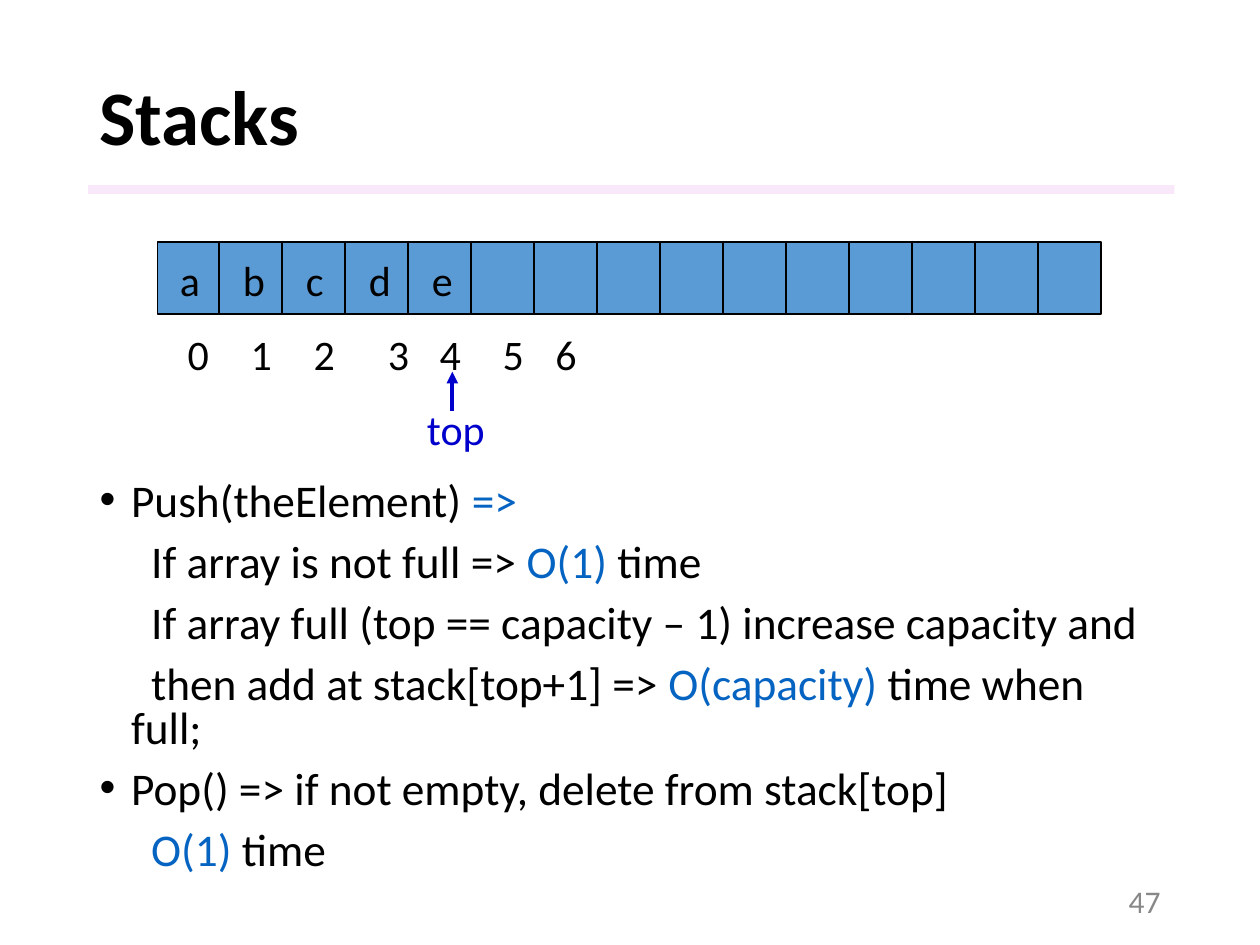
from pptx import Presentation
from pptx.dml.color import RGBColor
from pptx.enum.shapes import MSO_CONNECTOR, MSO_SHAPE
from pptx.enum.text import MSO_ANCHOR, MSO_AUTO_SIZE, PP_ALIGN
from pptx.oxml.ns import qn
from pptx.util import Inches, Pt
from lxml.etree import SubElement

BLACK, BLUE, NAVY = "000000", "0563C1", "0000CC"


def add_text(p, text, size=24, color=BLACK, bold=False):
    r = p.add_run()
    r.text = text
    r.font.name = "Calibri"
    r.font.size = Pt(size)
    r.font.bold = bold
    r.font.color.rgb = RGBColor.from_string(color)


def add_line(x1, y1, x2, y2, color=BLACK, width=1):
    line = s.shapes.add_connector(MSO_CONNECTOR.STRAIGHT, Inches(x1), Inches(y1),
                                  Inches(x2), Inches(y2))
    line.line.color.rgb = RGBColor.from_string(color)
    line.line.width = Pt(width)
    SubElement(line._element.spPr, qn("a:effectLst"))
    return line


prs = Presentation()
prs.slide_width, prs.slide_height = Inches(10), Inches(7.5)
s = prs.slides.add_slide(prs.slide_layouts[1])

# Rule under the title
rule = s.shapes.add_shape(MSO_SHAPE.RECTANGLE, Inches(0.7), Inches(1.47),
                          Inches(8.62), Inches(0.07))
rule.shadow.inherit = False
rule.fill.solid()
rule.fill.fore_color.rgb = RGBColor.from_string("F3D2F4")
rule.line.fill.background()
rule_color = rule._element.spPr.find(qn("a:solidFill")).find(qn("a:srgbClr"))
SubElement(rule_color, qn("a:alpha"), val="50000")

# Title
title = s.shapes.title
title.left, title.top, title.width, title.height = map(Inches, (0.69, 0.4, 8.62, 1.11))
tf = title.text_frame
tf.auto_size = MSO_AUTO_SIZE.NONE
tf.vertical_anchor = MSO_ANCHOR.MIDDLE
p = tf.paragraphs[0]
p.alignment = PP_ALIGN.LEFT
p.line_spacing = 0.9
add_text(p, "Stacks", size=44, bold=True)

# Operations and their costs: (bulleted, [(text, color), ...])
operations = [
    (True, [("Push(theElement) ", BLACK), ("=>", BLUE)]),
    (False, [("If array is not full => ", BLACK), ("O(1)", BLUE), (" time", BLACK)]),
    (False, [("If array full (top == capacity – 1) increase capacity and", BLACK)]),
    (False, [("then add at stack[top+1] => ", BLACK), ("O(capacity) ", BLUE),
             ("time when full;", BLACK)]),
    (True, [("Pop() => if not empty, delete from stack[top]", BLACK)]),
    (False, [("O(1)", BLUE), (" time", BLACK)]),
]
body = s.placeholders[1]
body.left, body.top, body.width, body.height = map(Inches, (0.69, 3.78, 8.62, 3.08))
tf = body.text_frame
tf.auto_size = MSO_AUTO_SIZE.NONE
for i, (bulleted, runs) in enumerate(operations):
    p = tf.add_paragraph() if i else tf.paragraphs[0]
    pPr = p._p.get_or_add_pPr()
    pPr.set("marL", str(Inches(0.25)))
    pPr.set("indent", str(Inches(-0.25 if bulleted else 0.16)))
    if bulleted:
        SubElement(SubElement(pPr, qn("a:buClr")), qn("a:srgbClr"), val=BLACK)
        SubElement(pPr, qn("a:buFont"), typeface="Arial")
        SubElement(pPr, qn("a:buChar"), char="•")
    else:
        SubElement(pPr, qn("a:buNone"))
    p.line_spacing = 0.8
    p.space_before = Pt(10 if i else 0)
    for text, color in runs:
        add_text(p, text, size=25.9, color=color)

# Array with 15 cells
array = s.shapes.add_shape(MSO_SHAPE.RECTANGLE, Inches(1.25), Inches(1.92),
                           Inches(7.49), Inches(0.57))
array.shadow.inherit = False
array.fill.solid()
array.fill.fore_color.rgb = RGBColor.from_string("5B9BD5")
array.line.color.rgb = RGBColor.from_string(BLACK)
array.line.width = Pt(1)
for i in range(14):
    x = 1.74 + 0.5 * i
    add_line(x, 1.91, x, 2.49)

# Elements, indices and top label: (text, left, top, width, color)
labels = [(c, 1.33 + 0.5 * i, 1.97, 0.37, BLACK) for i, c in enumerate("abcde")]
index_lefts = [1.39, 1.89, 2.39, 2.98, 3.39, 3.89, 4.31]
labels += [(str(i), x, 2.56, 0.37, BLACK) for i, x in enumerate(index_lefts)]
labels.append(("top", 3.29, 3.15, 0.66, NAVY))
for text, x, y, w, color in labels:
    box = s.shapes.add_textbox(Inches(x), Inches(y), Inches(w), Inches(0.5))
    add_text(box.text_frame.paragraphs[0], text, color=color)

# Arrow from the label to the top index
arrow = add_line(3.59, 3.26, 3.59, 2.95, color=NAVY, width=2.25)
SubElement(arrow.line._get_or_add_ln(), qn("a:tailEnd"), type="triangle")

# Slide number
box = s.shapes.add_textbox(Inches(7.06), Inches(6.95), Inches(2.25), Inches(0.4))
tf = box.text_frame
tf.word_wrap = True
tf.vertical_anchor = MSO_ANCHOR.MIDDLE
p = tf.paragraphs[0]
p.alignment = PP_ALIGN.RIGHT
add_text(p, "47", size=18, color="888888")

prs.save("out.pptx")
